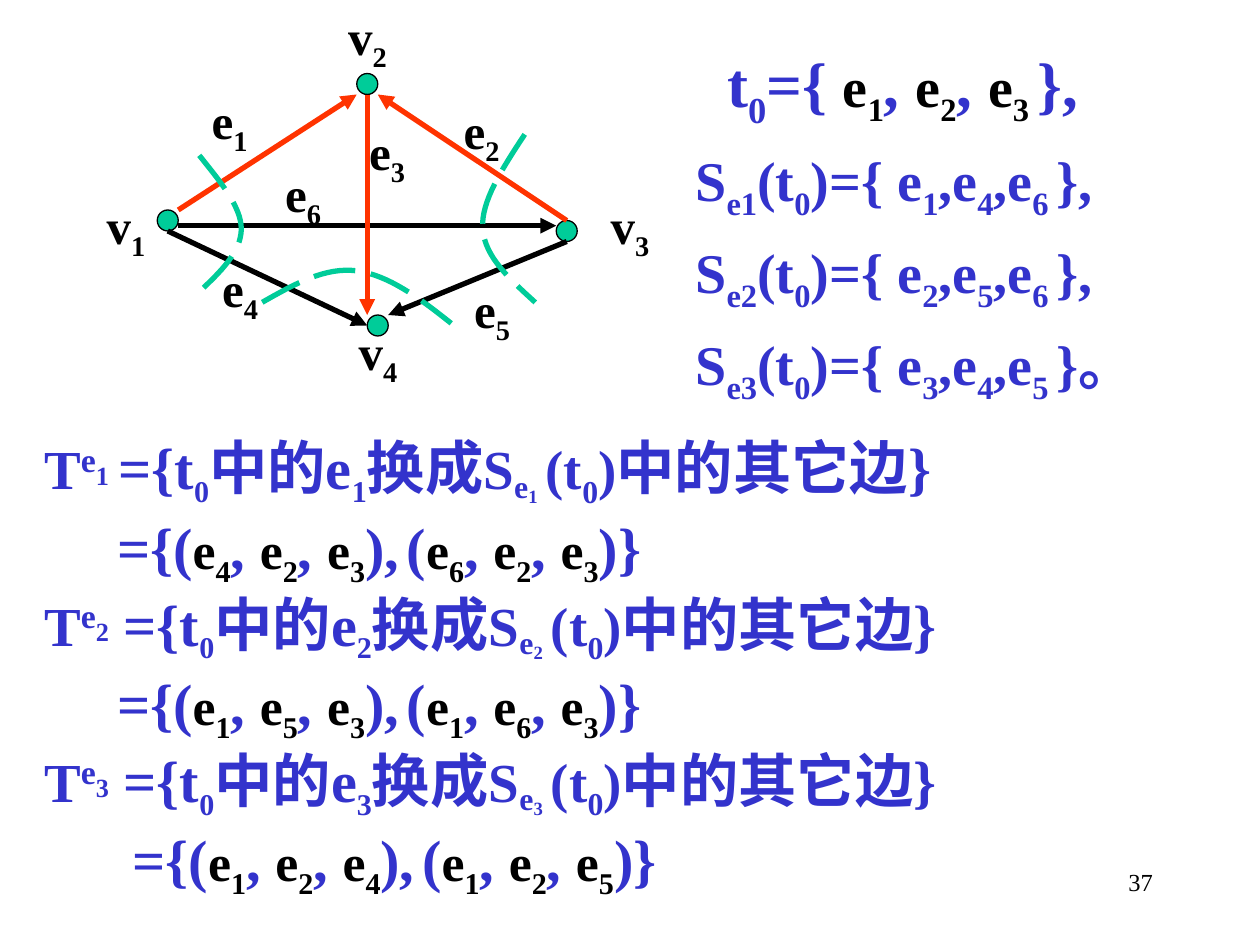
from lxml import etree
from pptx import Presentation
from pptx.dml.color import RGBColor
from pptx.enum.dml import MSO_LINE
from pptx.enum.shapes import MSO_CONNECTOR, MSO_SHAPE
from pptx.enum.text import PP_ALIGN
from pptx.oxml.ns import qn
from pptx.util import Cm, Pt

STRAIGHT = MSO_CONNECTOR.STRAIGHT
OVAL = MSO_SHAPE.OVAL
LONG_DASH = MSO_LINE.LONG_DASH
RIGHT = PP_ALIGN.RIGHT

BLUE = RGBColor(0x33, 0x33, 0xCC)
BLACK = RGBColor(0, 0, 0)
RED = RGBColor(0xFF, 0x33, 0)
GREEN = RGBColor(0, 0xCC, 0x99)
FONT = "Times New Roman"
GRID = 2.54 / 12  # centimetres per step of the graph's grid
SUB = -25
CURVE_STEPS = 16

# Places in grid steps from the graph's corner
NODES = [(6, 20), (25, 7), (44, 21), (26, 30)]
EDGES = [
    ((8, 20), (25, 9), RED),
    ((8, 21.5), (44, 21.5), BLACK),
    ((7, 22), (26, 31), BLACK),
    ((26, 9), (26, 30), RED),
    ((45, 21), (27, 9), RED),
    ((45, 23), (28, 30), BLACK),
]
LABELS = {
    "v1": (0, 18), "v2": (23, 0), "v3": (48, 18), "v4": (24, 30),
    "e1": (10, 8), "e2": (34, 9), "e3": (25, 11),
    "e4": (11, 24), "e5": (35, 26), "e6": (17, 15),
}
CUTS = [
    [(10, 14.8), (12, 17.3), (14, 19.7), (14, 21.8), (14, 24), (12, 25.9), (10, 27.8)],
    [(41, 12.8), (38.9, 16), (36.8, 19.2), (37, 21.8), (37.2, 24.5), (39.6, 26.6), (42, 28.8)],
    [(16, 28.8), (19, 27.1), (22, 25.4), (25, 25.8), (28, 26.2), (31, 28.4), (34, 30.8)],
]


def add_text_box(shapes, left, top, width, height):
    frame = shapes.add_textbox(Cm(left), Cm(top), Cm(width), Cm(height)).text_frame
    frame.word_wrap = True
    return frame


def add_paragraph(frame, runs, indent=0, bold=True):
    """Each run is (text, size, colour, baseline shift in percent)."""
    paragraph = frame.paragraphs[0]
    if paragraph.runs:
        paragraph = frame.add_paragraph()
    if indent:
        properties = paragraph._p.get_or_add_pPr()
        properties.set("marL", str(Cm(indent)))
        properties.set("indent", "0")
    paragraph.font.name = FONT
    paragraph.font.bold = bold
    for text, size, colour, shift in runs:
        run = paragraph.add_run()
        run.text = text
        run.font.size = Pt(size)
        run.font.color.rgb = colour
        if shift:
            run._r.get_or_add_rPr().set("baseline", str(shift * 1000))
    return paragraph


def symbol(name, size, colour=BLACK):
    """Runs for a letter with its lowered index."""
    return [(name[0], size, colour, 0), (name[1:], size, colour, SUB)]


def edge_list(edges, size, comma_size):
    runs = []
    for edge in edges.split():
        if runs:
            runs.append((", ", comma_size, BLUE, 0))
        runs += symbol(edge, size)
    return runs


def curve_points(controls):
    """Points along a chain of cubic curves."""
    points = [controls[0]]
    for first in range(0, len(controls) - 1, 3):
        a, b, c, d = controls[first:first + 4]
        for step in range(1, CURVE_STEPS + 1):
            t = step / CURVE_STEPS
            s = 1 - t
            points.append(tuple(
                s**3 * a[i] + 3 * s * s * t * b[i] + 3 * s * t * t * c[i] + t**3 * d[i]
                for i in range(2)))
    return points


def add_graph(slide, left, top):
    shapes = slide.shapes.add_group_shape().shapes

    def place(point):
        return Cm(left + point[0] * GRID), Cm(top + point[1] * GRID)

    for node in NODES:
        shape = shapes.add_shape(OVAL, *place(node), Cm(2 * GRID), Cm(2 * GRID))
        shape.shadow.inherit = False
        shape.fill.solid()
        shape.fill.fore_color.rgb = GREEN
        shape.line.color.rgb = BLACK
        shape.line.width = Pt(0.75)

    for start, end, colour in EDGES:
        arrow = shapes.add_connector(STRAIGHT, *place(start), *place(end))
        arrow.line.color.rgb = colour
        arrow.line.width = Pt(3)
        etree.SubElement(arrow.line._get_or_add_ln(), qn("a:tailEnd"), type="triangle")
        etree.SubElement(arrow._element.spPr, qn("a:effectLst"))

    for name, (column, row) in LABELS.items():
        frame = add_text_box(shapes, left + column * GRID, top + row * GRID, 1.7, 1.6)
        add_paragraph(frame, symbol(name, 28))

    for controls in CUTS:
        start, *others = [place(point) for point in curve_points(controls)]
        builder = shapes.build_freeform(*start)
        builder.add_line_segments(others, close=False)
        cut = builder.convert_to_shape()
        cut.shadow.inherit = False
        cut.fill.background()
        cut.line.color.rgb = GREEN
        cut.line.width = Pt(3)
        cut.line.dash_style = LONG_DASH


def cut_set(edge, members):
    """Runs for the fundamental cut set of one edge."""
    runs = symbol("S" + edge, 32, BLUE) + [("(t", 32, BLUE, 0), ("0", 32, BLUE, SUB)]
    lead = ")={ "
    for member in members.split():
        runs += [(lead + member[0], 32, BLUE, 0), (member[1], 32, BLUE, SUB)]
        lead = ","
    return runs + [(" ", 32, BLUE, SUB)]


def add_cut_sets(slide, left, top, width, height):
    frame = add_text_box(slide.shapes, left, top, width, height)
    tree = (symbol("t0", 36, BLUE) + [("={ ", 36, BLUE, 0)]
            + edge_list("e1 e2 e3", 32, 36)
            + [(" ", 32, BLACK, SUB), ("},", 36, BLUE, 0)])
    middle = (cut_set("e1", "e1 e4 e6") + [("}, ", 32, BLUE, 0)]
              + cut_set("e2", "e2 e5 e6") + [("},", 32, BLUE, 0)])
    last = cut_set("e3", "e3 e4 e5") + [("}。", 32, BLUE, 0)]
    for runs, indent in ((tree, 0.64), (middle, 0), (last, 0)):
        add_paragraph(frame, runs, indent).line_spacing = 1.2


def exchange_rule(index, gap):
    """Runs stating which trees come from exchanging one edge."""
    parts = [
        ("T", 31.4, 0), ("e", 33.3, 30), (index, 25.9, 10), gap,
        ("={t", 33.3, 0), ("0", 29.6, SUB), ("中的e", 33.3, 0), (index, 29.6, SUB),
        ("换成", 33.3, 0), ("S", 31.4, 0), ("e", 31.4, -16), (index, 18.5, -42),
        (" ", 31.4, SUB), ("(t", 31.4, 0), ("0", 31.4, SUB), (")", 31.4, 0),
        ("中的其它边}", 33.3, 0),
    ]
    return [(text, size, BLUE, shift) for text, size, shift in parts]


def exchange_result(first, second):
    return ([("={(", 33.3, BLUE, 0)] + edge_list(first, 29.6, 33.3)
            + [("),", 33.3, BLUE, 0), (" ", 29.6, BLACK, SUB), ("(", 33.3, BLUE, 0)]
            + edge_list(second, 29.6, 33.3) + [(")}", 33.3, BLUE, 0)])


def add_exchanges(slide, left, top, width, height):
    frame = add_text_box(slide.shapes, left, top, width, height)
    frame.margin_top = Cm(0.25)
    raised_gap, plain_gap = (" ", 37, 30), (" ", 33.3, 0)
    for index, gap, first, second, indent in (
        ("1", raised_gap, "e4 e2 e3", "e6 e2 e3", 1.47),
        ("2", plain_gap, "e1 e5 e3", "e1 e6 e3", 1.47),
        ("3", plain_gap, "e1 e2 e4", "e1 e2 e5", 1.78),
    ):
        for runs, margin in ((exchange_rule(index, gap), 0),
                             (exchange_result(first, second), indent)):
            add_paragraph(frame, runs, margin).line_spacing = Pt(44.6)


def add_page_number(slide, left, top, width, height):
    frame = add_text_box(slide.shapes, left, top, width, height)
    add_paragraph(frame, [("37", 14, BLACK, 0)], bold=False).alignment = RIGHT


def main():
    presentation = Presentation()
    presentation.slide_width, presentation.slide_height = Cm(25.4), Cm(19.05)
    slide = presentation.slides.add_slide(presentation.slide_layouts[6])
    add_exchanges(slide, 0.64, 8.46, 23.93, 9.73)
    add_cut_sets(slide, 13.77, 0.43, 10.36, 7.9)
    add_graph(slide, 1.9, 0)
    add_page_number(slide, 18.21, 17.35, 5.28, 1.27)
    presentation.save("out.pptx")


if __name__ == "__main__":
    main()
